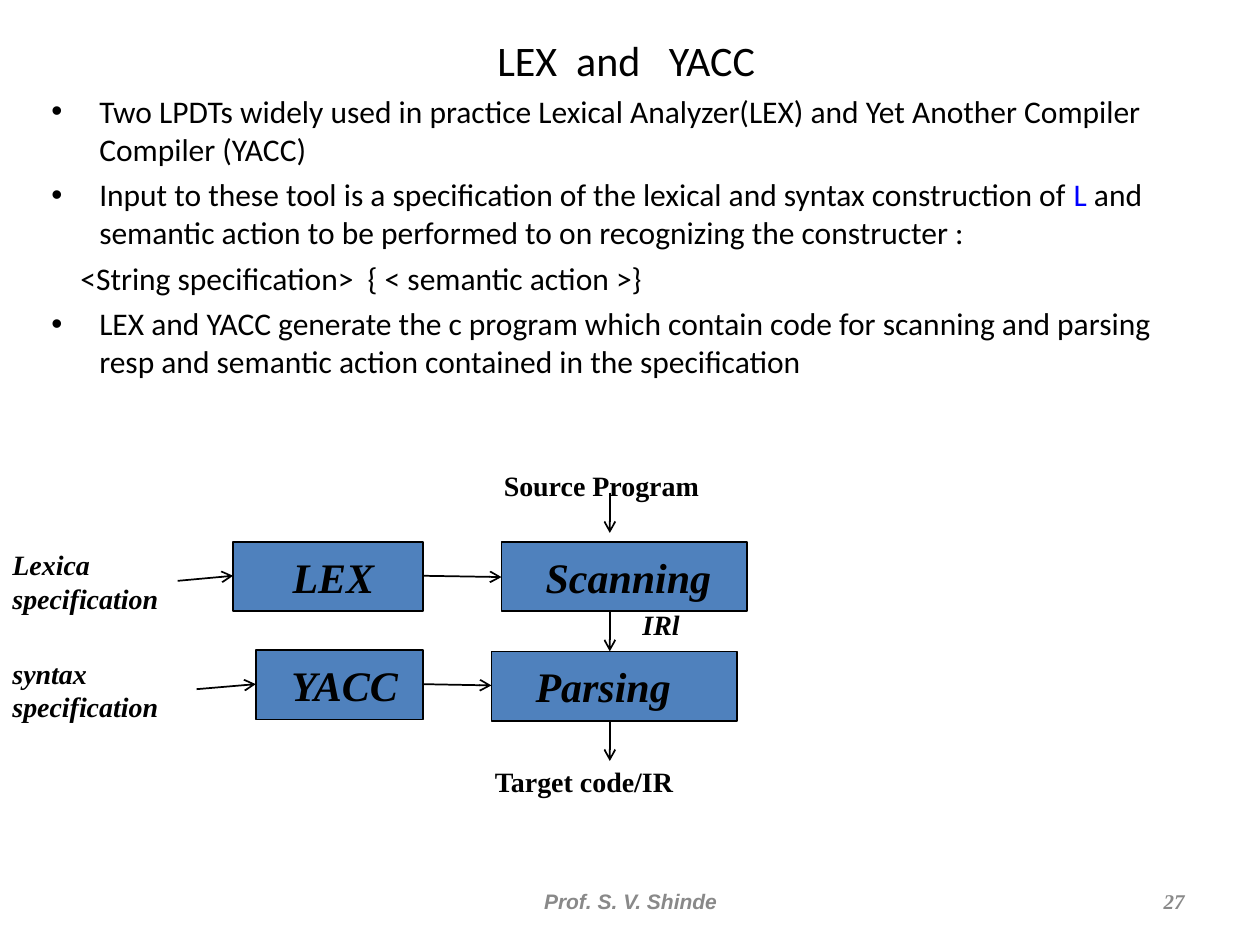
import pptx
import pptx.util
import pptx.dml.color
import pptx.enum.shapes
import pptx.enum.text
import pptx.oxml
import pptx.oxml.ns

ALIGN = pptx.enum.text.PP_ALIGN
ANCHOR = pptx.enum.text.MSO_ANCHOR
COLUMNS, ROWS = 100, 75


def colour(value):
    return pptx.dml.color.RGBColor.from_string(value)


def add_element(parent, tag, **values):
    element = pptx.oxml.parse_xml(f"<{tag} {pptx.oxml.ns.nsdecls('a')}/>")
    for name, value in values.items():
        element.set(name, value)
    parent.append(element)


class Slide:
    ink = "000000"
    box_fill = "4F81BD"
    heading = {"name": "Calibri", "size": pptx.util.Pt(24)}
    body = {"name": "Calibri", "size": pptx.util.Pt(18)}
    label = {"name": "Times New Roman", "size": pptx.util.Pt(16), "bold": True}
    slanted = {**label, "italic": True}
    box_text = {**slanted, "size": pptx.util.Pt(24)}
    number = {**slanted, "size": pptx.util.Pt(12)}
    footer = {**number, "name": "Arial"}

    def __init__(self, deck):
        self.page = deck.slides.add_slide(deck.slide_layouts[6])
        self.column = deck.slide_width / COLUMNS
        self.row = deck.slide_height / ROWS

    def place(self, left, top, width, height):
        return (round(left * self.column), round(top * self.row),
                round(width * self.column), round(height * self.row))

    def add_span(self, para, text, style, ink=ink):
        span = para.add_run()
        span.text = text
        for name, value in style.items():
            setattr(span.font, name, value)
        span.font.color.rgb = colour(ink)

    def text(self, area, lines, style, align=ALIGN.LEFT, anchor=ANCHOR.TOP, ink=ink):
        frame = self.page.shapes.add_textbox(*self.place(*area)).text_frame
        frame.word_wrap = True
        frame.vertical_anchor = anchor
        for index, line in enumerate(lines):
            para = frame.add_paragraph() if index else frame.paragraphs[0]
            para.alignment = align
            self.add_span(para, line, style, ink)

    def points(self, area, items):
        frame = self.page.shapes.add_textbox(*self.place(*area)).text_frame
        frame.word_wrap = True
        for index, (bulleted, spans) in enumerate(items):
            para = frame.add_paragraph() if index else frame.paragraphs[0]
            properties = para._p.get_or_add_pPr()
            indent = pptx.util.Inches(0.38 if bulleted else 0.23)
            properties.set("marL", str(indent))
            properties.set("indent", str(-indent if bulleted else 0))
            if bulleted:
                add_element(properties, "a:buFont", typeface="Arial")
                add_element(properties, "a:buChar", char="•")
            if index:
                para.space_before = pptx.util.Pt(4.5)
            for text, ink in spans:
                self.add_span(para, text, self.body, ink)

    def box(self, area, text, align, inset):
        box = self.page.shapes.add_shape(
            pptx.enum.shapes.MSO_SHAPE.RECTANGLE, *self.place(*area))
        box.shadow.inherit = False
        box.fill.solid()
        box.fill.fore_color.rgb = colour(self.box_fill)
        box.line.color.rgb = colour(self.ink)
        box.line.width = pptx.util.Pt(1)
        frame = box.text_frame
        frame.word_wrap = True
        frame.vertical_anchor = ANCHOR.MIDDLE
        frame.margin_left = pptx.util.Inches(inset)
        para = frame.paragraphs[0]
        para.alignment = align
        self.add_span(para, text, self.box_text)

    def arrow(self, start, end):
        line = self.page.shapes.add_connector(
            pptx.enum.shapes.MSO_CONNECTOR.STRAIGHT, *self.place(*start, *end))
        line.line.color.rgb = colour(self.ink)
        line.line.width = pptx.util.Pt(1)
        properties = line._element.spPr
        add_element(properties.find(pptx.oxml.ns.qn("a:ln")), "a:tailEnd", type="arrow")
        add_element(properties, "a:effectLst")


def main():
    deck = pptx.Presentation()
    deck.slide_width = pptx.util.Inches(10)
    deck.slide_height = pptx.util.Inches(7.5)
    slide = Slide(deck)
    ink = slide.ink

    slide.text((19.3, 0, 60.8, 9.5), ["LEX  and   YACC"], slide.heading,
               ALIGN.CENTER, ANCHOR.MIDDLE)
    slide.points((3.1, 6.8, 90.6, 27), [
        (True, [("Two LPDTs widely used in practice Lexical Analyzer(LEX) and "
                 "Yet Another Compiler Compiler (YACC)", ink)]),
        (True, [("Input to these tool is a specification of the lexical and "
                 "syntax construction of ", ink),
                ("L", "0000FF"),
                (" and semantic action to be performed to on recognizing "
                 "the constructer :", ink)]),
        (False, [("<String specification>  { < semantic action >}", ink)]),
        (True, [("LEX and YACC generate the c program which contain code for "
                 "scanning and parsing resp and semantic action contained in "
                 "the specification", ink)]),
    ])

    for area, text, style, align in [
        ((34.2, 69.5, 31.7, 4), "Prof. S. V. Shinde", slide.footer, ALIGN.CENTER),
        ((71.7, 69.5, 23.3, 4), "27", slide.number, ALIGN.RIGHT),
    ]:
        slide.text(area, [text], style, align, ANCHOR.MIDDLE, "898989")

    for area, lines, style in [
        ((39, 36.7, 21.3, 3.7), ["Source Program"], slide.label),
        ((38.3, 60.2, 21.3, 3.7), ["Target code/IR"], slide.label),
        ((0, 43, 19.5, 6.4), ["Lexica", "specification"], slide.slanted),
        ((0, 51.6, 19.5, 6.4), ["syntax", "specification"], slide.slanted),
        ((50, 47.7, 19.5, 3.7), ["IRl"], slide.slanted),
    ]:
        slide.text(area, lines, style)

    for area, text, align, inset in [
        ((39.8, 43, 19.5, 5.5), "Scanning", ALIGN.LEFT, 0.35),
        ((39, 51.7, 19.5, 5.5), "Parsing", ALIGN.LEFT, 0.35),
        ((18.5, 43, 15.1, 5.5), "LEX", ALIGN.CENTER, 0.18),
        ((20.3, 51.6, 13.3, 5.5), "YACC", ALIGN.CENTER, 0.18),
    ]:
        slide.box(area, text, align, inset)

    for top in (39.1, 48.5, 57.2):
        slide.arrow((48.4, top), (48.4, top + 3.2))
    for start, end in [
        ((14.1, 46.1), (18.5, 45.7)),
        ((33.6, 45.7), (39.8, 45.8)),
        ((15.6, 54.7), (20.3, 54.3)),
        ((33.6, 54.3), (39, 54.4)),
    ]:
        slide.arrow(start, end)

    deck.save("out.pptx")


if __name__ == "__main__":
    main()
